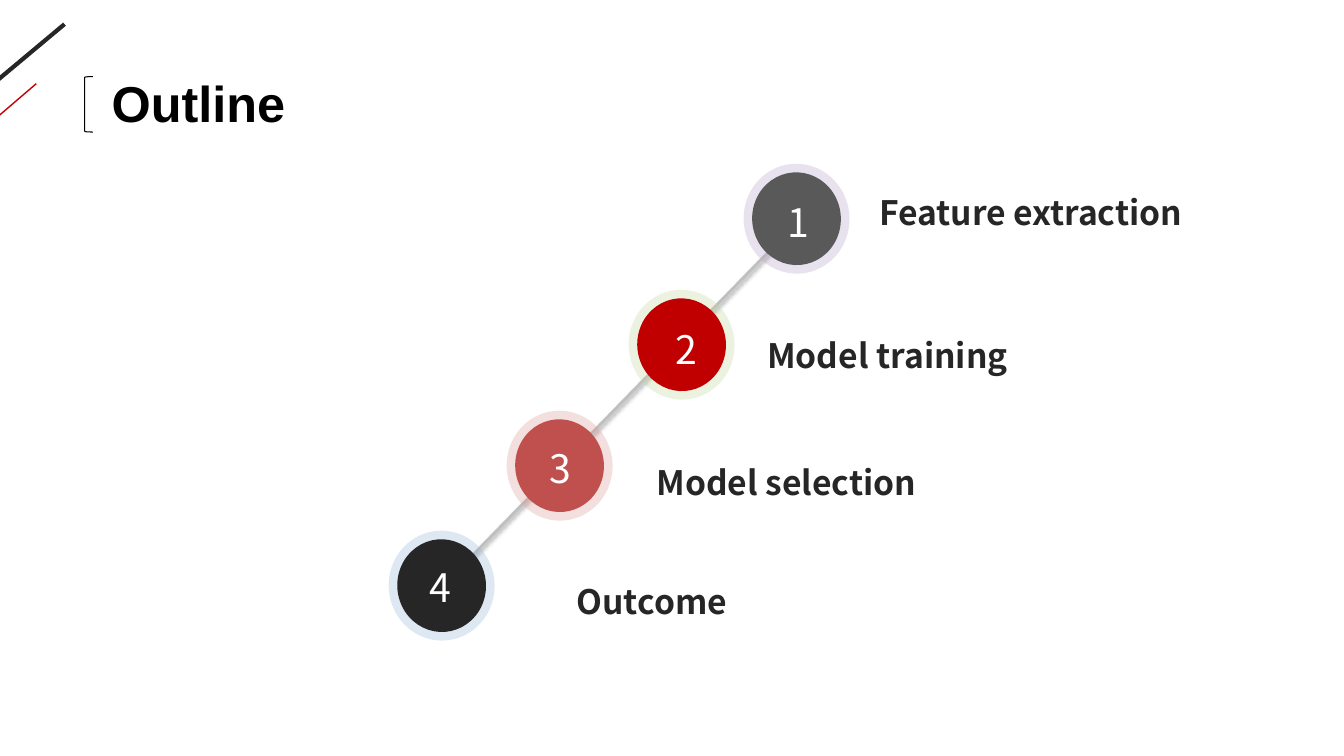
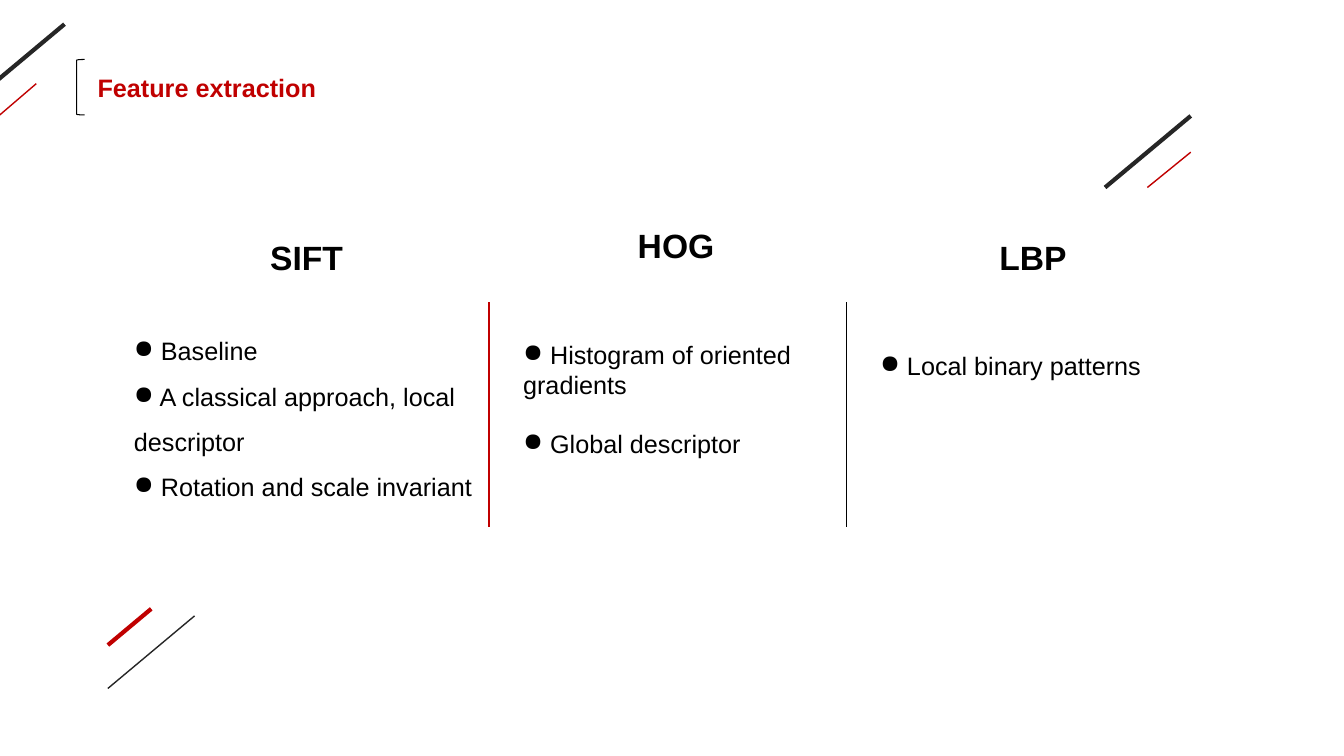
from lxml import etree
from pptx import Presentation
from pptx.dml.color import RGBColor
from pptx.enum.shapes import MSO_CONNECTOR, MSO_SHAPE
from pptx.enum.text import PP_ALIGN
from pptx.oxml.ns import qn
from pptx.util import Inches, Pt

STRAIGHT = MSO_CONNECTOR.STRAIGHT
OVAL = MSO_SHAPE.OVAL
LEFT_BRACKET = MSO_SHAPE.LEFT_BRACKET
CENTER = PP_ALIGN.CENTER

BLACK = RGBColor(0x00, 0x00, 0x00)
WHITE = RGBColor(0xFF, 0xFF, 0xFF)
CHARCOAL = RGBColor(0x26, 0x26, 0x26)
GRAY = RGBColor(0x59, 0x59, 0x59)
SILVER = RGBColor(0xBF, 0xBF, 0xBF)
RED = RGBColor(0xC0, 0x00, 0x00)
BRICK = RGBColor(0xC0, 0x50, 0x4D)
PALE_BLUE = RGBColor(0x95, 0xB3, 0xD7)
PALE_VIOLET = RGBColor(0xB3, 0xA2, 0xC7)
PALE_GREEN = RGBColor(0xC3, 0xD6, 0x9B)
PALE_ROSE = RGBColor(0xD9, 0x96, 0x94)

BODY_FONT = "Arial"
STEP_FONT = "Noto Sans CJK SC"
COLUMN_HEAD = {"name": BODY_FONT, "size": Pt(24), "bold": True}
COLUMN_ITEM = {"name": BODY_FONT, "size": Pt(18), "bold": False}
STEP_NUMBER = {"name": STEP_FONT, "size": Pt(28)}
STEP_LABEL = {"name": STEP_FONT, "size": Pt(24), "bold": True}

STEPS = [
    ("4", "Outcome", (4.38, 5.81), (4.16, 5.54), (5.48, 5.64), CHARCOAL, PALE_BLUE),
    ("1", "Feature extraction", (7.9, 2.17), (7.71, 1.92), (8.48, 1.78), GRAY, PALE_VIOLET),
    ("2", "Model training", (6.76, 3.42), (6.6, 3.18), (7.37, 3.2), RED, PALE_GREEN),
    ("3", "Model selection", (5.55, 4.62), (5.35, 4.36), (6.27, 4.46), BRICK, PALE_ROSE),
]

COLUMNS = [
    ("SIFT", (1.23, 2.1, 3.62, 3.3), 1.5, 31, 0,
     ["Baseline", "A classical approach, local descriptor", "Rotation and scale invariant"]),
    ("HOG", (5.09, 2.18, 3.23, 2.49), 1.0, 53, 20.7,
     ["Histogram of oriented gradients", "Global descriptor"]),
    ("LBP", (8.63, 2.1, 3.23, 1.77), 1.5, 41.4, 0, ["Local binary patterns"]),
]


class Deck:
    """Holds the shared style and the current slide."""

    def __init__(self):
        self.prs = Presentation()
        self.prs.slide_width = Inches(13.33)
        self.prs.slide_height = Inches(7.5)
        self.slide = None

    def new_slide(self):
        self.slide = self.prs.slides.add_slide(self.prs.slide_layouts[6])
        self.line((0.64, 0.24), (-0.21, 0.95), CHARCOAL, 3)
        self.line((0.36, 0.83), (-0.06, 1.19), RED, 1)

    def line(self, start, end, color, width, shadow=False):
        line = self.slide.shapes.add_connector(
            STRAIGHT, *(Inches(v) for v in (*start, *end)))
        line.line.color.rgb = color
        line.line.width = Pt(width)
        effects = etree.SubElement(line.element.spPr, qn("a:effectLst"))
        if shadow:
            outer = etree.SubElement(effects, qn("a:outerShdw"), blurRad="40000",
                                     dist="20000", dir="5400000", rotWithShape="0")
            black = etree.SubElement(outer, qn("a:srgbClr"), val="000000")
            etree.SubElement(black, qn("a:alpha"), val="38000")

    def text_box(self, left, top, width, height, inset=(0.1, 0.05)):
        box = self.slide.shapes.add_textbox(*(Inches(v) for v in (left, top, width, height)))
        frame = box.text_frame
        frame.word_wrap = True
        frame.margin_left = frame.margin_right = Inches(inset[0])
        frame.margin_top = frame.margin_bottom = Inches(inset[1])
        return frame

    def add_text(self, paragraph, text, color, font, **layout):
        run = paragraph.add_run()
        run.text = text
        run.font.color.rgb = color
        for target, formats in ((run.font, font), (paragraph, layout)):
            for key, value in formats.items():
                setattr(target, key, value)

    def title(self, text, left, bracket, size, color):
        frame = self.text_box(left, 0.67, 4, 0.71)
        self.add_text(frame.paragraphs[0], text, color,
                      {"name": BODY_FONT, "size": Pt(size), "bold": True})
        mark = self.slide.shapes.add_shape(
            LEFT_BRACKET, *(Inches(v) for v in (*bracket, 0.08, 0.55)))
        mark.shadow.inherit = False
        mark.fill.background()
        mark.line.color.rgb = BLACK
        mark.line.width = Pt(0.75)

    def disc(self, center, width, height, color, alpha=None):
        x, y = center
        disc = self.slide.shapes.add_shape(
            OVAL, *(Inches(v) for v in (x - width / 2, y - height / 2, width, height)))
        disc.shadow.inherit = False
        disc.rotation = 355.3
        disc.line.fill.background()
        disc.fill.solid()
        disc.fill.fore_color.rgb = color
        if alpha is not None:
            tint = disc.element.spPr.find(qn("a:solidFill"))[0]
            etree.SubElement(tint, qn("a:alpha"), val=str(alpha * 1000))

    def step(self, number, label, center, number_at, label_at, color, halo):
        self.disc(center, 1.05, 1.09, halo, 30)
        self.disc(center, 0.88, 0.92, color)
        digit = self.text_box(*number_at, 0.64, 0.57)
        self.add_text(digit.paragraphs[0], number, WHITE, STEP_NUMBER)
        caption = self.text_box(*label_at, 3.8, 0.65, (0.24, 0.12))
        self.add_text(caption.paragraphs[0], label, CHARCOAL, STEP_LABEL)

    def column(self, heading, area, spacing, first_gap, gap, items):
        frame = self.text_box(*area)
        self.add_text(frame.paragraphs[0], heading, BLACK, COLUMN_HEAD,
                      alignment=CENTER, line_spacing=spacing)
        for index, item in enumerate(items):
            paragraph = frame.add_paragraph()
            self.add_text(paragraph, " " + item, BLACK, COLUMN_ITEM, line_spacing=spacing,
                          space_before=Pt(gap if index else first_gap))
            properties = paragraph._p.get_or_add_pPr()
            properties.set("marL", "0")
            properties.set("indent", "0")
            etree.SubElement(properties, qn("a:buChar"), char="●")


def outline(deck):
    deck.new_slide()
    deck.title("Outline", 1.01, (0.84, 0.76), 36, BLACK)
    deck.line((4.19, 6.02), (8.08, 2.03), SILVER, 2, shadow=True)
    for step in STEPS:
        deck.step(*step)


def feature_extraction(deck):
    deck.new_slide()
    deck.title("Feature extraction", 0.87, (0.76, 0.59), 18, RED)
    for column in COLUMNS:
        deck.column(*column)
    for x, color in ((8.4, BLACK), (4.85, RED)):
        deck.line((x, 3), (x, 5.23), color, 0.75)
    deck.line((11.81, 1.15), (10.96, 1.86), CHARCOAL, 3)
    deck.line((11.81, 1.51), (11.38, 1.86), RED, 1)
    deck.line((1.5, 6.04), (1.07, 6.4), RED, 3)
    deck.line((1.93, 6.11), (1.07, 6.83), CHARCOAL, 1)


def main():
    deck = Deck()
    outline(deck)
    feature_extraction(deck)
    deck.prs.save("out.pptx")


if __name__ == "__main__":
    main()
